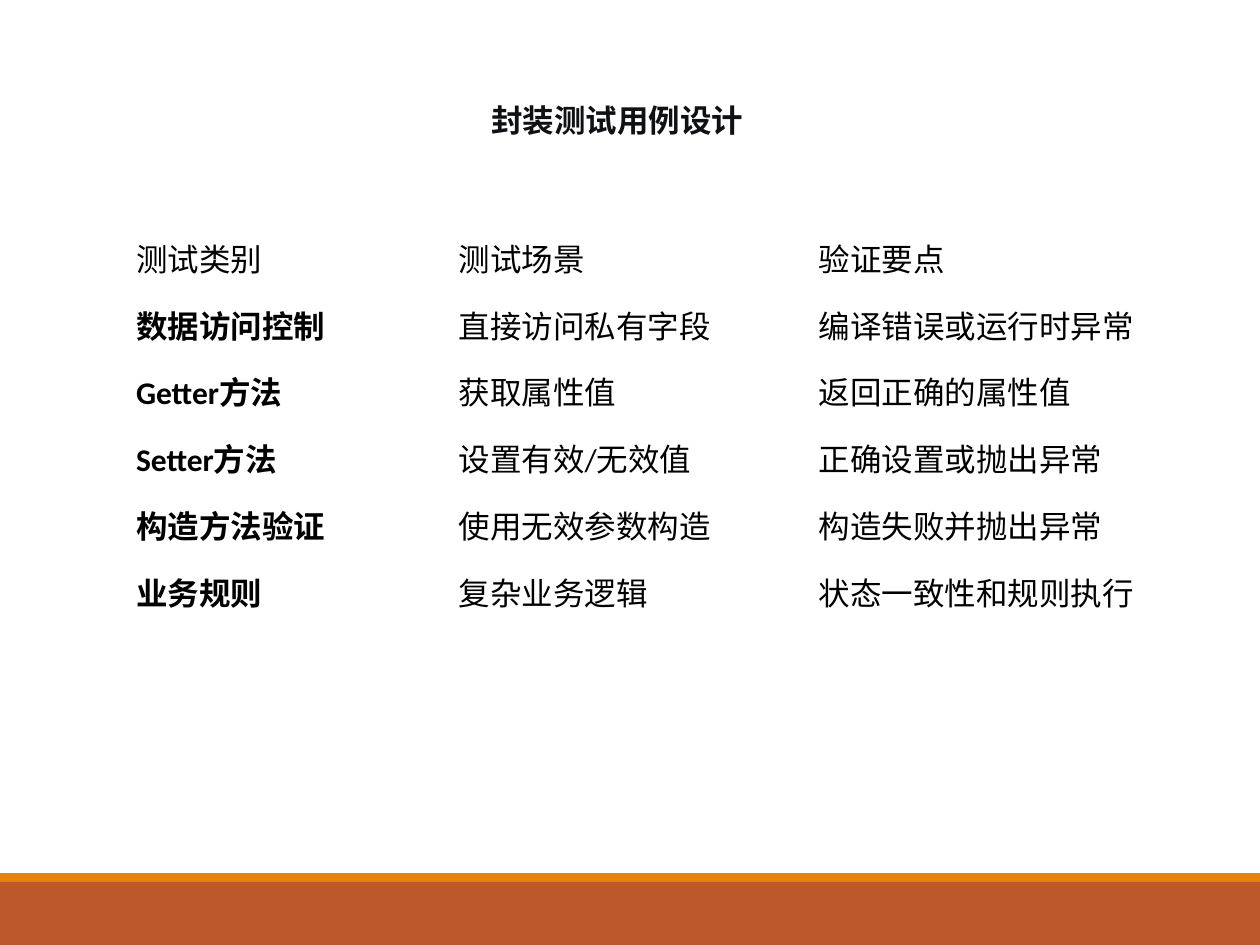
import pptx
import pptx.util
import pptx.dml.color
import pptx.enum.shapes
import pptx.enum.text

Inches = pptx.util.Inches
RGB = pptx.dml.color.RGBColor.from_string
MIDDLE = pptx.enum.text.MSO_ANCHOR.MIDDLE
RECT = pptx.enum.shapes.MSO_SHAPE.RECTANGLE

COLORS = {
    "rust": "BD582C",
    "orange": "E48312",
    "white": "FFFFFF",
    "title": "0F1115",
    "text": "000000",
}
ROWS = [
    ("测试类别", "测试场景", "验证要点"),
    ("数据访问控制", "直接访问私有字段", "编译错误或运行时异常"),
    ("Getter方法", "获取属性值", "返回正确的属性值"),
    ("Setter方法", "设置有效/无效值", "正确设置或抛出异常"),
    ("构造方法验证", "使用无效参数构造", "构造失败并抛出异常"),
    ("业务规则", "复杂业务逻辑", "状态一致性和规则执行"),
]
WIDTHS = [2.53, 2.86, 2.86]


def write(frame, text, font="Calibri", size=18, color="text", bold=False):
    para = frame.paragraphs[0]
    para.alignment = pptx.enum.text.PP_ALIGN.LEFT
    run = para.add_run()
    run.text = text
    run.font.name = font
    run.font.size = pptx.util.Pt(size)
    run.font.bold = bold
    run.font.color.rgb = RGB(COLORS[color])


deck = pptx.Presentation()
deck.slide_width, deck.slide_height = Inches(10), Inches(7.5)
slide = deck.slides.add_slide(deck.slide_layouts[6])

# Footer bands
for top, height, color in [(7, 0.5, "rust"), (6.93, 0.07, "orange")]:
    band = slide.shapes.add_shape(
        RECT, Inches(0), Inches(top), Inches(10), Inches(height))
    band.shadow.inherit = False
    band.fill.solid()
    band.fill.fore_color.rgb = RGB(COLORS[color])
    band.line.fill.background()

# Table of test cases
table = slide.shapes.add_table(
    len(ROWS), len(WIDTHS), Inches(0.98), Inches(1.78),
    Inches(sum(WIDTHS)), Inches(0.53 * len(ROWS))).table
table.first_row = table.horz_banding = False
for col, width in zip(table.columns, WIDTHS):
    col.width = Inches(width)
for r, row in enumerate(ROWS):
    for c, text in enumerate(row):
        cell = table.cell(r, c)
        cell.fill.background()
        cell.vertical_anchor = MIDDLE
        cell.margin_left = Inches(0.1 if c == 0 else 0.13)
        cell.margin_right = Inches(0.1 if c == 2 and r > 0 else 0.13)
        cell.margin_top = cell.margin_bottom = Inches(0.08)
        write(cell.text_frame, text, bold=c == 0 and r > 0)

# Title
title = slide.shapes.add_textbox(
    Inches(3.9), Inches(0.6), Inches(2.02), Inches(0.94))
title.fill.solid()
title.fill.fore_color.rgb = RGB(COLORS["white"])
frame = title.text_frame
frame.word_wrap = False
frame.vertical_anchor = pptx.enum.text.MSO_ANCHOR.TOP
frame.margin_left = frame.margin_right = Inches(0)
frame.margin_top, frame.margin_bottom = Inches(0.22), Inches(0.11)
write(frame, "封装测试用例设计", font="Arial", color="title", bold=True)

deck.save("out.pptx")
